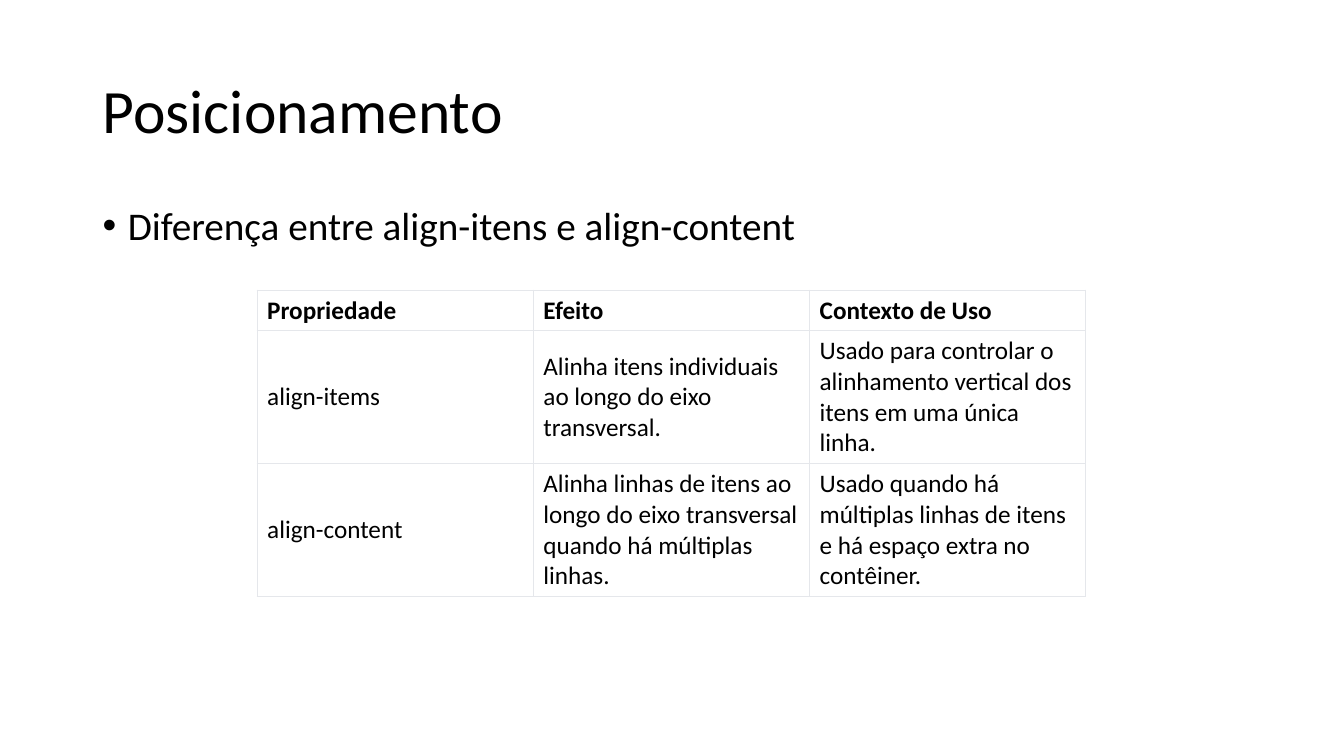
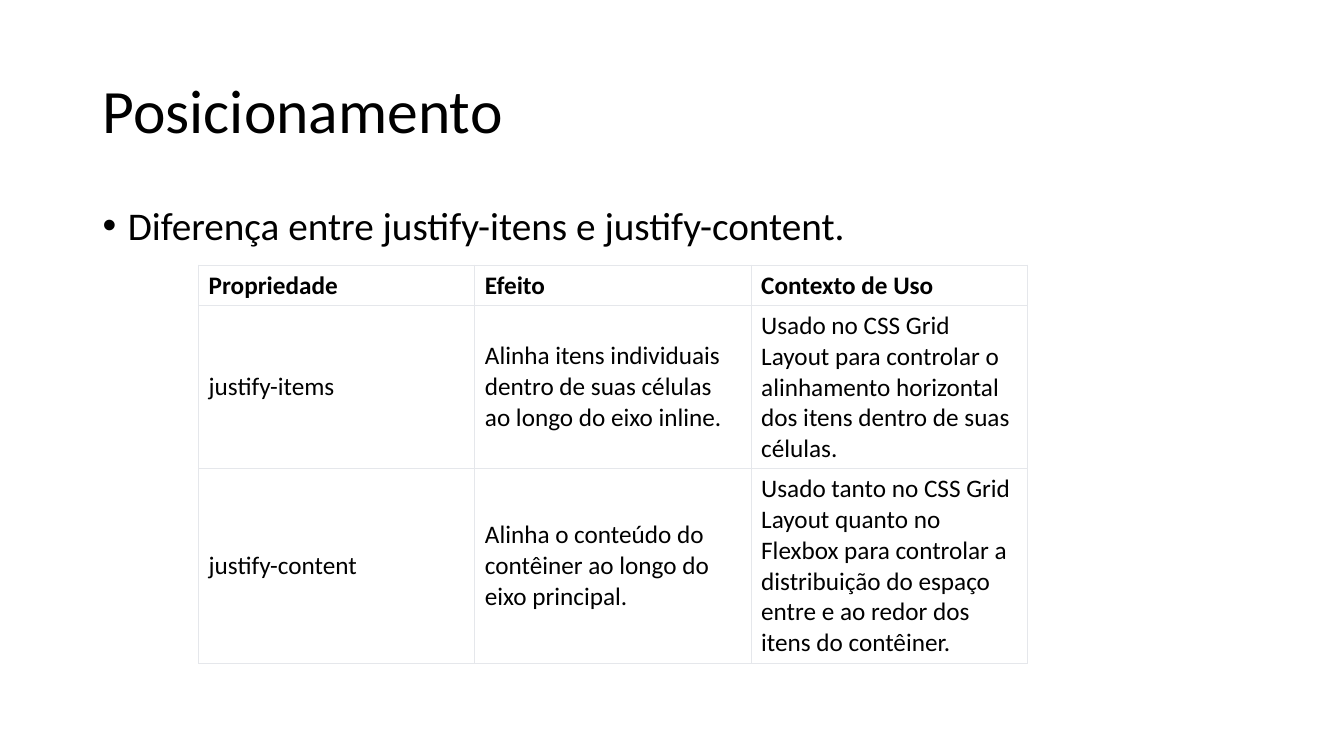
"""Build two slides comparing CSS alignment properties in tables."""
from lxml.etree import SubElement
from pptx import Presentation
from pptx.dml.color import RGBColor
from pptx.enum.text import MSO_ANCHOR
from pptx.oxml.ns import qn
from pptx.util import Inches, Pt

FONT = "Calibri"
TEXT_COLOR = "000000"
BORDER_COLOR = "E5E7EB"
COLUMN_WIDTH = 2.74
HEADER = ["Propriedade", "Efeito", "Contexto de Uso"]
SLIDES = [
    {
        "subtitle": "Diferença entre align-itens e align-content",
        "left": 2.55,
        "top": 2.88,
        "heights": [0.4, 1.32, 1.32],
        "rows": [
            ["align-items",
             "Alinha itens individuais ao longo do eixo transversal.",
             "Usado para controlar o alinhamento vertical dos itens em uma única linha."],
            ["align-content",
             "Alinha linhas de itens ao longo do eixo transversal quando há múltiplas linhas.",
             "Usado quando há múltiplas linhas de itens e há espaço extra no contêiner."],
        ],
    },
    {
        "subtitle": "Diferença entre justify-itens e justify-content.",
        "left": 1.97,
        "top": 2.63,
        "heights": [0.4, 1.62, 1.93],
        "rows": [
            ["justify-items",
             "Alinha itens individuais dentro de suas células ao longo do eixo inline.",
             "Usado no CSS Grid Layout para controlar o alinhamento horizontal dos itens "
             "dentro de suas células."],
            ["justify-content",
             "Alinha o conteúdo do contêiner ao longo do eixo principal.",
             "Usado tanto no CSS Grid Layout quanto no Flexbox para controlar a distribuição "
             "do espaço entre e ao redor dos itens do contêiner."],
        ],
    },
]


def write_text(frame, text, size, bold=False):
    frame.text = text
    frame.word_wrap = True
    para = frame.paragraphs[0]
    font = para.runs[0].font
    font.name, font.size, font.bold = FONT, Pt(size), bold
    font.color.rgb = RGBColor.from_string(TEXT_COLOR)
    return para


def set_borders(cell, bottom_width):
    properties = cell._tc.get_or_add_tcPr()
    for side, width in (("L", 1), ("R", 1), ("T", 1), ("B", bottom_width)):
        line = SubElement(properties, qn(f"a:ln{side}"), w=str(Pt(width)))
        fill = SubElement(line, qn("a:solidFill"))
        SubElement(fill, qn("a:srgbClr"), val=BORDER_COLOR)


deck = Presentation()
deck.slide_width, deck.slide_height = Inches(13.33), Inches(7.5)

for content in SLIDES:
    page = deck.slides.add_slide(deck.slide_layouts[6])

    title_box = page.shapes.add_textbox(Inches(0.92), Inches(0.4), Inches(11.5), Inches(1.45))
    title_box.text_frame.vertical_anchor = MSO_ANCHOR.MIDDLE
    title = write_text(title_box.text_frame, "Posicionamento", 44)
    title.line_spacing = 0.9

    body_box = page.shapes.add_textbox(Inches(0.92), Inches(2), Inches(11.5), Inches(4.76))
    subtitle = write_text(body_box.text_frame, content["subtitle"], 28)
    subtitle.line_spacing = 0.9
    subtitle.space_before = Pt(10)
    bullet = subtitle._p.get_or_add_pPr()
    bullet.set("marL", str(Inches(0.25)))
    bullet.set("indent", str(Inches(-0.25)))
    SubElement(bullet, qn("a:buFont"), typeface="Arial")
    SubElement(bullet, qn("a:buChar"), char="•")

    rows = [HEADER] + content["rows"]
    table = page.shapes.add_table(
        len(rows), len(HEADER), Inches(content["left"]), Inches(content["top"]),
        Inches(COLUMN_WIDTH * len(HEADER)), Inches(sum(content["heights"])),
    ).table
    table.first_row = table.horz_banding = False
    for column in table.columns:
        column.width = Inches(COLUMN_WIDTH)
    for row_index, texts in enumerate(rows):
        is_header = row_index == 0
        is_last = row_index == len(rows) - 1
        table.rows[row_index].height = Inches(content["heights"][row_index])
        for column_index, text in enumerate(texts):
            cell = table.cell(row_index, column_index)
            write_text(cell.text_frame, text, 18, bold=is_header)
            cell.vertical_anchor = MSO_ANCHOR.BOTTOM if is_header else MSO_ANCHOR.MIDDLE
            set_borders(cell, 0.75 if is_last else 1)
            cell.fill.background()

deck.save("out.pptx")
